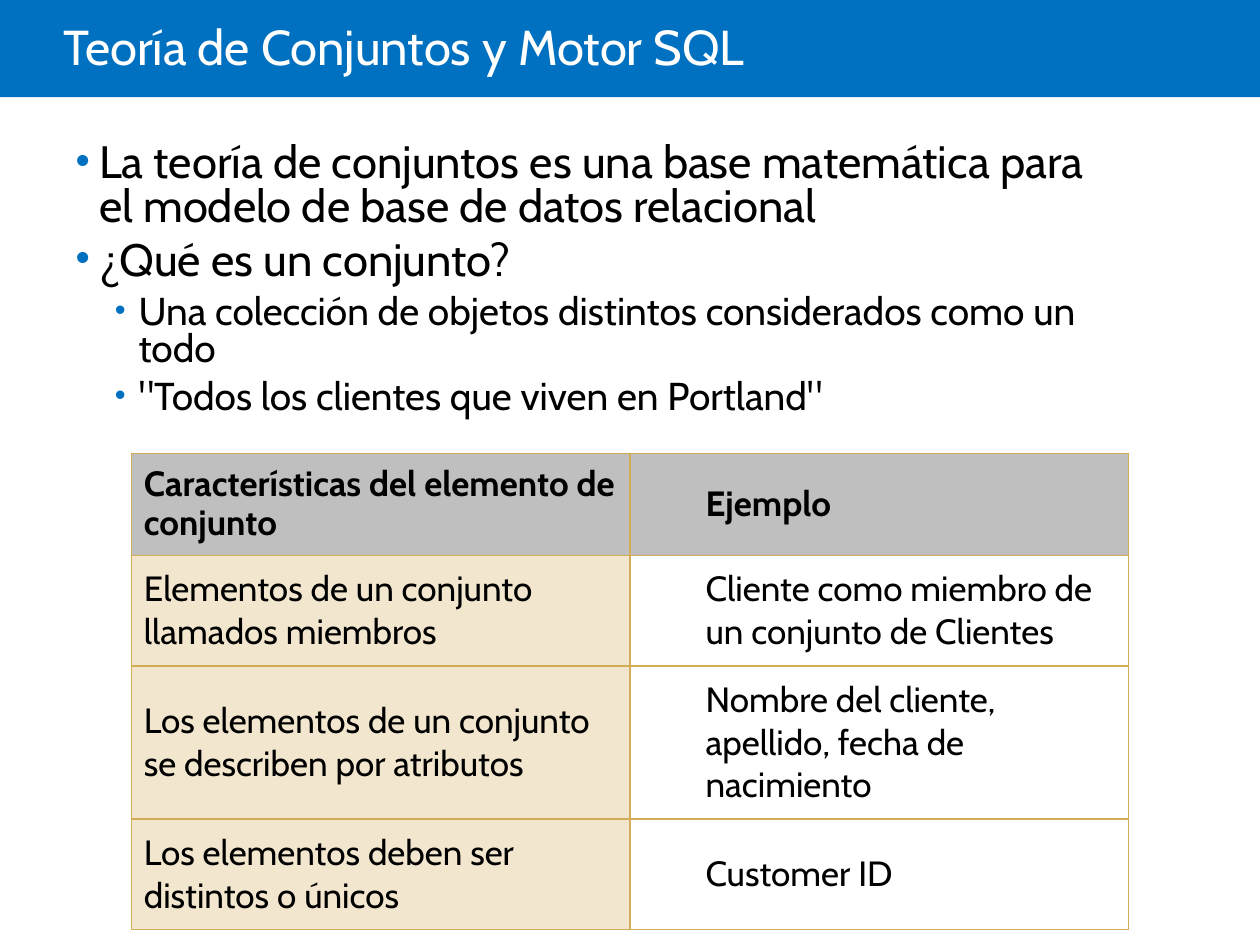
from lxml import etree
from pptx import Presentation
from pptx.dml.color import RGBColor
from pptx.enum.shapes import MSO_SHAPE
from pptx.enum.text import MSO_ANCHOR, MSO_AUTO_SIZE, PP_ALIGN
from pptx.oxml.ns import qn
from pptx.util import Pt

RECT = MSO_SHAPE.RECTANGLE
MIDDLE, TOP = MSO_ANCHOR.MIDDLE, MSO_ANCHOR.TOP
LEFT = PP_ALIGN.LEFT
NO_FIT = MSO_AUTO_SIZE.NONE
BLUE, GOLD, GREY, CREAM = "0070C0", "D2AC56", "BFBFBF", "F2E7CE"
BLACK, WHITE = "000000", "FFFFFF"


def paint(part, color):
    """Fill a shape, cell or font with a solid hex colour."""
    part.fill.solid()
    part.fill.fore_color.rgb = RGBColor.from_string(color)


def style(para, size, color=BLACK, space=1.0, bold=False):
    para.alignment = LEFT
    para.line_spacing = space
    para.font.name = "Cabin"
    para.font.size = Pt(size)
    para.font.bold = bold
    paint(para.font, color)


prs = Presentation()
prs.slide_width, prs.slide_height = Pt(720), Pt(540)
slide = prs.slides.add_slide(prs.slide_layouts[1])
title, body = slide.placeholders

# Title bar, behind the title
bar = slide.shapes.add_shape(RECT, 0, 0, Pt(720), Pt(55.5))
bar.shadow.inherit = False
paint(bar, BLUE)
bar.line.fill.background()
title.element.addprevious(bar.element)

title.left, title.top, title.width, title.height = Pt(36), Pt(0), Pt(612), Pt(58)
frame = title.text_frame
frame.text = "Teoría de Conjuntos y Motor SQL"
frame.auto_size = NO_FIT
frame.vertical_anchor = MIDDLE
frame.margin_left = 0
style(frame.paragraphs[0], 28, WHITE, 0.85)

# Bulleted list
points = [
    (0, "La teoría de conjuntos es una base matemática para "
        "el modelo de base de datos relacional"),
    (0, "¿Qué es un conjunto?"),
    (1, "Una colección de objetos distintos considerados como un todo"),
    (1, '"Todos los clientes que viven en Portland"'),
]
levels = [(25.9, 13.5, 90), (22.2, 36, 80)]  # size, indent, bullet percent

body.left, body.top, body.width, body.height = Pt(36), Pt(78.5), Pt(610.5), Pt(165.5)
frame = body.text_frame
frame.text = "\n".join(text for _, text in points)
frame.auto_size = NO_FIT
frame.vertical_anchor = TOP
for para, (level, _) in zip(frame.paragraphs, points):
    size, indent, percent = levels[level]
    para.level = level
    para.space_before = Pt(6)
    style(para, size, space=0.8)
    props = para._p.get_or_add_pPr()
    props.set("marL", str(Pt(indent)))
    props.set("indent", str(Pt(-13.5)))
    tint = etree.SubElement(props, qn("a:buClr"))
    etree.SubElement(tint, qn("a:srgbClr"), val=BLUE)
    etree.SubElement(props, qn("a:buSzPct"), val=str(percent * 1000))
    etree.SubElement(props, qn("a:buFont"), typeface="Arial")
    etree.SubElement(props, qn("a:buChar"), char="•")

# Table of set features
rows = [
    ("Características del elemento de conjunto", "Ejemplo"),
    ("Elementos de un conjunto llamados miembros",
     "Cliente como miembro de un conjunto de Clientes"),
    ("Los elementos de un conjunto se describen por atributos",
     "Nombre del cliente, apellido, fecha de nacimiento"),
    ("Los elementos deben ser distintos o únicos", "Customer ID"),
]
heights = [49, 58, 67, 59]
table = slide.shapes.add_table(
    4, 2, Pt(75), Pt(259), Pt(570), Pt(sum(heights))).table
for col in table.columns:
    col.width = Pt(285)

for r, (height, texts) in enumerate(zip(heights, rows)):
    table.rows[r].height = Pt(height)
    for c, text in enumerate(texts):
        cell = table.cell(r, c)
        cell.text = text
        cell.vertical_anchor = MIDDLE
        cell.margin_left = cell.margin_right = Pt(7.2)
        cell.margin_top = cell.margin_bottom = Pt(7.2)
        props = cell._tc.get_or_add_tcPr()
        for side in ("lnL", "lnR", "lnT", "lnB"):
            edge = etree.SubElement(props, qn("a:" + side), w=str(Pt(1)))
            fill = etree.SubElement(edge, qn("a:solidFill"))
            etree.SubElement(fill, qn("a:srgbClr"), val=GOLD)
        paint(cell, GREY if r == 0 else (CREAM, WHITE)[c])
        para = cell.text_frame.paragraphs[0]
        style(para, 20, space=0.9 if r == c == 0 else 1.0, bold=r == 0)
        if c == 1:
            para.level = 1
            indent = para._p.get_or_add_pPr()
            indent.set("marL", str(Pt(36)))
            indent.set("indent", "0")

prs.save("out.pptx")
